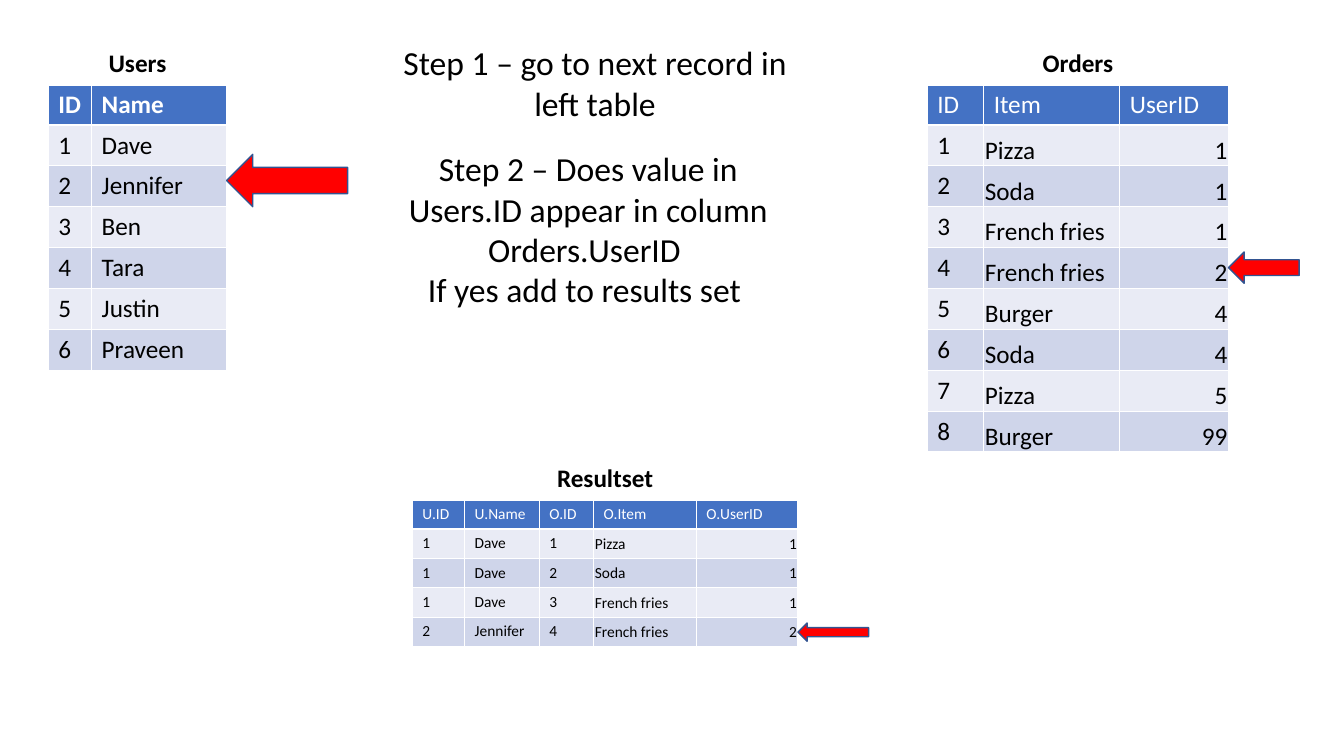
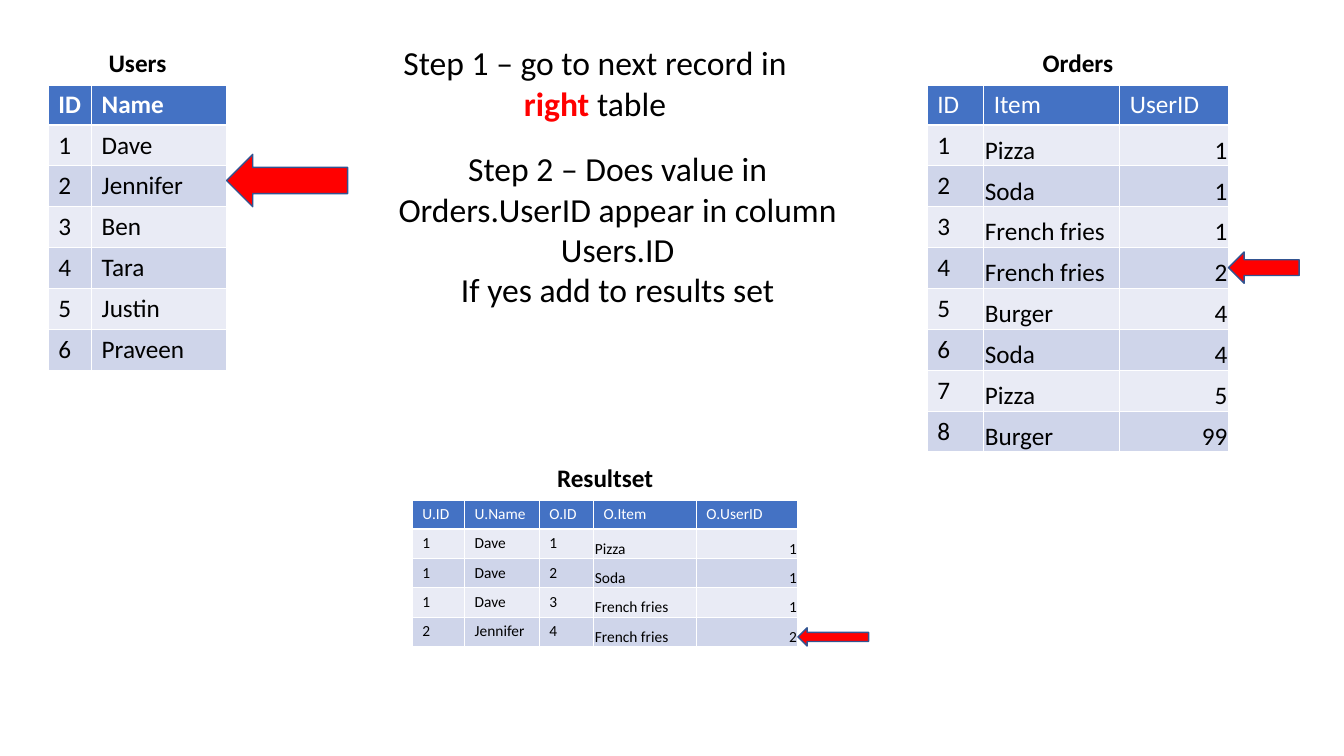
import pptx
import pptx.dml.color
import pptx.enum.shapes
import pptx.enum.text
import pptx.oxml
import pptx.oxml.ns
import pptx.util

Cm, Pt = pptx.util.Cm, pptx.util.Pt
RGBColor = pptx.dml.color.RGBColor
ALIGN = pptx.enum.text.PP_ALIGN
ANCHOR = pptx.enum.text.MSO_ANCHOR

WHITE = RGBColor(0xFF, 0xFF, 0xFF)
BLACK = RGBColor(0x00, 0x00, 0x00)
RED = RGBColor(0xFF, 0x00, 0x00)
HEADER_BLUE = RGBColor(0x44, 0x72, 0xC4)
ARROW_OUTLINE = RGBColor(0x32, 0x54, 0x91)
BANDS = (RGBColor(0xE9, 0xEB, 0xF5), RGBColor(0xCF, 0xD5, 0xEA))

BODY_FONT = {"name": "Calibri", "size": Pt(18), "bold": False}
STEP_FONT = BODY_FONT | {"size": Pt(24)}
TIGHT_CELL = {"margin_left": Cm(0.03), "margin_right": Cm(0.03),
              "margin_top": Cm(0.03), "margin_bottom": 0}
TITLE_ROW_HEIGHT = Cm(1.03)

USERS = {
    "title": "Users",
    "widths": (1.09, 3.4),
    "row_height": 1.03,
    "header_bold": True,
    "rows": [("ID", "Name"), ("1", "Dave"), ("2", "Jennifer"), ("3", "Ben"),
             ("4", "Tara"), ("5", "Justin"), ("6", "Praveen")],
}
ORDERS = {
    "title": "Orders",
    "widths": (1.42, 3.43, 2.74),
    "row_height": 1.03,
    "tight_from": 1,
    "rows": [("ID", "Item", "UserID"),
             ("1", "Pizza", "1"), ("2", "Soda", "1"),
             ("3", "French fries", "1"), ("4", "French fries", "2"),
             ("5", "Burger", "4"), ("6", "Soda", "4"),
             ("7", "Pizza", "5"), ("8", "Burger", "99")],
}
RESULTSET = {
    "title": "Resultset",
    "widths": (1.32, 1.88, 1.37, 2.59, 2.56),
    "row_height": 0.74,
    "size": 11,
    "tight_from": 3,
    "rows": [("U.ID", "U.Name", "O.ID", "O.Item", "O.UserID"),
             ("1", "Dave", "1", "Pizza", "1"),
             ("1", "Dave", "2", "Soda", "1"),
             ("1", "Dave", "3", "French fries", "1"),
             ("2", "Jennifer", "4", "French fries", "2")],
}

SLIDES = [
    {
        "step_1": [[("Step 1 – go to next record in left table", {})]],
        "step_2": [[("Step 2 – Does value in Users.ID appear in column", {})],
                   [("Orders.UserID ", {})],
                   [("If yes add to results set ", {})]],
        "step_2_width": 10.59,
        "result_anchor": ANCHOR.MIDDLE,
        "result_arrow_top": 15.7,
    },
    {
        "step_1": [[("Step 1 – go to next record in ", {}),
                    ("right", {"bold": True, "color": RED}),
                    (" table", {})]],
        "step_2": [[("Step 2 – Does value in Orders.UserID appear in column", {})],
                   [("Users.ID", {})],
                   [(" If yes add to results set ", {})]],
        "step_2_width": 12.07,
        "result_anchor": ANCHOR.BOTTOM,
        "result_arrow_top": 15.82,
    },
]


def set_attributes(target, values):
    for name, value in values.items():
        setattr(target, name, value)


def add_run(paragraph, text, font_values, color=BLACK):
    run = paragraph.add_run()
    run.text = text
    set_attributes(run.font, font_values)
    run.font.color.rgb = color


def set_borders(cell, top=1, bottom=1):
    """Draw white cell borders; widths are in points."""
    properties = cell._tc.get_or_add_tcPr()
    for side, width in (("L", 1), ("R", 1), ("T", top), ("B", bottom)):
        properties.append(pptx.oxml.parse_xml(
            f'<a:ln{side} {pptx.oxml.ns.nsdecls("a")} w="{Pt(width)}">'
            f'<a:solidFill><a:srgbClr val="{WHITE}"/></a:solidFill></a:ln{side}>'))


def fill_cell(cell, text, fill, font_values, color=BLACK, alignment=ALIGN.LEFT,
              top=1, bottom=1):
    set_borders(cell, top, bottom)
    cell.fill.solid()
    cell.fill.fore_color.rgb = fill
    paragraph = cell.text_frame.paragraphs[0]
    paragraph.alignment = alignment
    add_run(paragraph, text, font_values, color)


def add_data_table(slide, left, top, data, anchor=ANCHOR.BOTTOM):
    """Draw a titled, banded table and return its right edge in cm."""
    rows, widths = data["rows"], data["widths"]
    row_height = Cm(data["row_height"])
    last_column = len(widths) - 1
    tight_from = data.get("tight_from", len(widths))
    table = slide.shapes.add_table(
        len(rows) + 1, len(widths), Cm(left), Cm(top), Cm(sum(widths)),
        TITLE_ROW_HEIGHT + row_height * len(rows)).table
    for column, width in zip(table.columns, widths):
        column.width = Cm(width)
    for row in table.rows:
        row.height = row_height
    table.rows[0].height = TITLE_ROW_HEIGHT

    title_cell = table.cell(0, 0)
    title_cell.merge(table.cell(0, last_column))
    fill_cell(title_cell, data["title"], WHITE, BODY_FONT | {"bold": True},
              alignment=ALIGN.CENTER, bottom=3)

    body_font = BODY_FONT | {"size": Pt(data.get("size", 18))}
    header_font = body_font | {"bold": data.get("header_bold", False)}
    for row_index, values in enumerate(rows):
        for column_index, text in enumerate(values):
            cell = table.cell(row_index + 1, column_index)
            if row_index == 0:
                fill_cell(cell, text, HEADER_BLUE, header_font, WHITE, top=3)
                continue
            tight = column_index >= tight_from
            if tight:
                set_attributes(cell, TIGHT_CELL | {"vertical_anchor": anchor})
            fill_cell(cell, text, BANDS[(row_index - 1) % 2], body_font,
                      alignment=ALIGN.RIGHT if tight and column_index == last_column
                      else ALIGN.LEFT)
    return left + sum(widths)


def add_row_arrow(slide, left, top, width, height):
    arrow = slide.shapes.add_shape(pptx.enum.shapes.MSO_SHAPE.LEFT_ARROW,
                                   Cm(left), Cm(top), Cm(width), Cm(height))
    arrow.shadow.inherit = False
    arrow.fill.solid()
    arrow.fill.fore_color.rgb = RED
    arrow.line.color.rgb = ARROW_OUTLINE
    arrow.line.width = Pt(1)


def add_step(slide, left, top, width, height, paragraphs):
    frame = slide.shapes.add_textbox(Cm(left), Cm(top), Cm(width), Cm(height)).text_frame
    frame.word_wrap = True
    for index, runs in enumerate(paragraphs):
        paragraph = frame.add_paragraph() if index else frame.paragraphs[0]
        paragraph.alignment = ALIGN.CENTER
        for text, changes in runs:
            font_values = STEP_FONT | {"bold": changes.get("bold", False)}
            add_run(paragraph, text, font_values, changes.get("color", BLACK))


def add_join_slide(presentation, content):
    slide = presentation.slides.add_slide(presentation.slide_layouts[6])
    users_right = add_data_table(slide, 1.22, 1.09, USERS)
    orders_right = add_data_table(slide, 23.37, 1.09, ORDERS)
    add_step(slide, 9.7, 0.94, 10.59, 2.31, content["step_1"])
    add_row_arrow(slide, users_right, 3.89, 3.05, 1.32)
    add_step(slide, 9.53, 3.61, content["step_2_width"], 4.37, content["step_2"])
    add_row_arrow(slide, orders_right, 6.35, 1.78, 0.79)
    result_right = add_data_table(slide, 10.39, 11.56, RESULTSET,
                                  content["result_anchor"])
    add_row_arrow(slide, result_right, content["result_arrow_top"], 1.78, 0.46)


def main():
    presentation = pptx.Presentation()
    presentation.slide_width = Cm(33.87)
    presentation.slide_height = Cm(19.05)
    for content in SLIDES:
        add_join_slide(presentation, content)
    presentation.save("out.pptx")


if __name__ == "__main__":
    main()
